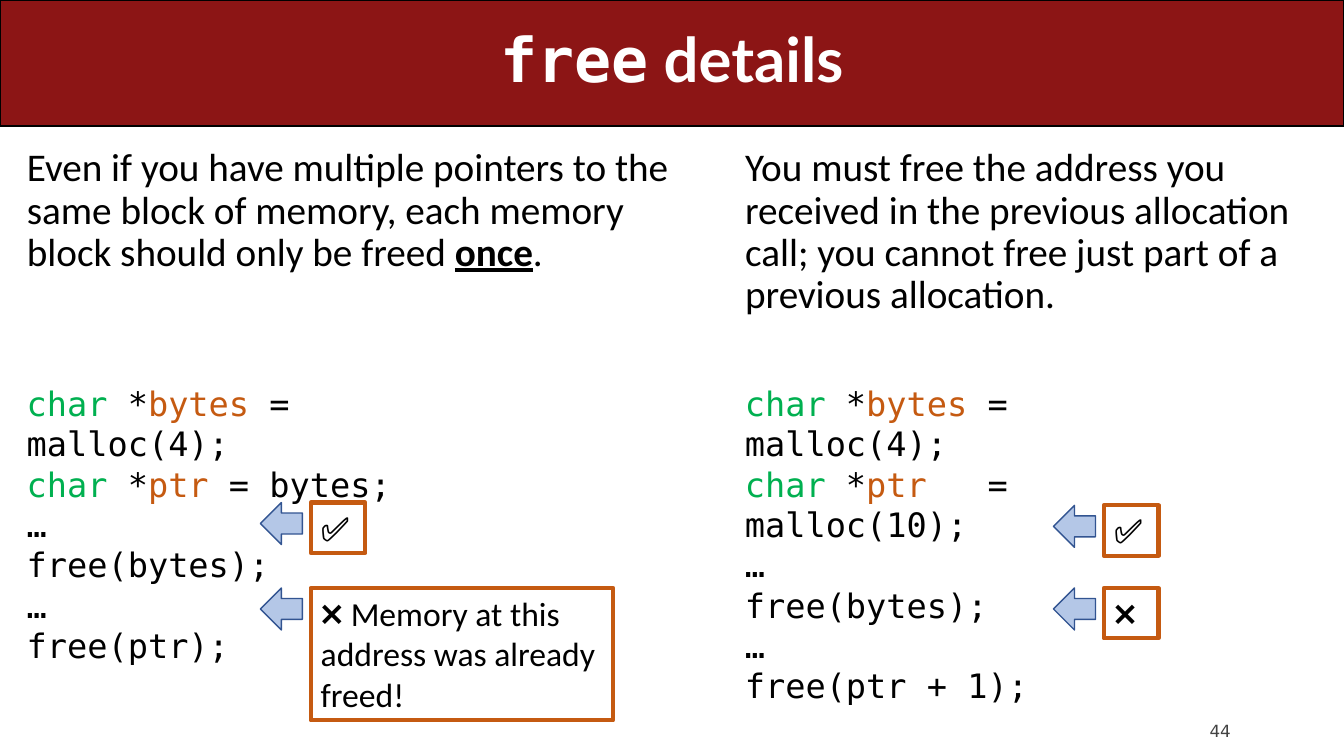
from lxml import etree
from pptx import Presentation
from pptx.dml.color import RGBColor
from pptx.enum.shapes import MSO_SHAPE
from pptx.enum.text import MSO_ANCHOR, MSO_AUTO_SIZE, PP_ALIGN
from pptx.oxml.ns import qn
from pptx.util import Pt

RECT, ROUND, ARROW = MSO_SHAPE.RECTANGLE, MSO_SHAPE.ROUNDED_RECTANGLE, MSO_SHAPE.LEFT_ARROW
MIDDLE, BOTTOM, TOP = MSO_ANCHOR.MIDDLE, MSO_ANCHOR.BOTTOM, MSO_ANCHOR.TOP
FIXED = MSO_AUTO_SIZE.NONE
LEFT, CENTER = PP_ALIGN.LEFT, PP_ALIGN.CENTER

BLACK = RGBColor(0, 0, 0)
WHITE = RGBColor(255, 255, 255)
RED = RGBColor(0x8C, 0x15, 0x15)
GREEN = RGBColor(0x00, 0xB0, 0x50)
RUST = RGBColor(0xC5, 0x5A, 0x11)
PALE = RGBColor(0xB4, 0xC7, 0xE7)
BLUE = RGBColor(0x32, 0x54, 0x91)
GRAY = RGBColor(0x42, 0x42, 0x42)
MONO, SANS = "DejaVu Sans Mono", "Calibri"


def add_run(para, text, size, face, color, bold=False):
    run = para.add_run()
    run.text = text
    font = run.font
    font.size, font.name, font.bold = Pt(size), face, bold
    font.color.rgb = color
    return run


def add_block(kind, box, fill, line, width):
    shape = slide.shapes.add_shape(kind, *map(Pt, box))
    shape.shadow.inherit = False
    if fill is None:
        shape.fill.background()
    else:
        shape.fill.solid()
        shape.fill.fore_color.rgb = fill
    shape.line.color.rgb = line
    shape.line.width = Pt(width)
    return shape


deck = Presentation()
deck.slide_width, deck.slide_height = Pt(960), Pt(540)
slide = deck.slides.add_slide(deck.slide_layouts[3])
title, first, second = slide.placeholders

band = add_block(ROUND, (0, 0, 960, 90), RED, BLACK, 0.75)
band.adjustments[0] = 0
title._element.addprevious(band._element)

title.left, title.top, title.width, title.height = map(Pt, (36, 0, 888, 90))
title.text_frame.auto_size = FIXED
title.text_frame.vertical_anchor = MIDDLE
para = title.text_frame.paragraphs[0]
para.alignment = CENTER
para.line_spacing = 0.9
add_run(para, "free", 44, MONO, WHITE, True)
add_run(para, " details", 44, "Lato", WHITE, True)

rules = [
    (first, 12, 480, [
        ("Even if you have multiple pointers to the same block of memory, "
         "each memory block should only be freed ", False),
        ("once", True), (".", False)]),
    (second, 525, 411, [
        ("You must free the address you received in the previous allocation call; "
         "you cannot free just part of a previous allocation.", False)]),
]
for body, left, width, parts in rules:
    body.left, body.top, body.width, body.height = map(Pt, (left, 102, width, 408))
    body.text_frame.auto_size = FIXED
    para = body.text_frame.paragraphs[0]
    para.line_spacing = 0.9
    para.space_before = Pt(10)
    props = para._p.get_or_add_pPr()
    props.set("marL", "0")
    props.set("indent", "0")
    etree.SubElement(props, qn("a:buNone"))
    for text, strong in parts:
        run = add_run(para, text, 28, SANS, BLACK, strong)
        run.font.underline = strong

codes = [
    (12, 336, " = bytes;", "free(ptr);"),
    (525, 354, "   = malloc(10);", "free(ptr + 1);"),
]
for left, width, value, last in codes:
    frame = slide.shapes.add_textbox(Pt(left), Pt(270), Pt(width), Pt(211)).text_frame
    frame.word_wrap = True
    lines = [
        [("char", GREEN), (" *", BLACK), ("bytes", RUST), (" = malloc(4);", BLACK)],
        [("char", GREEN), (" *", BLACK), ("ptr", RUST), (value, BLACK)],
        [("…", BLACK)],
        [("free(bytes);", BLACK)],
        [("…", BLACK)],
        [(last, BLACK)],
    ]
    for row, parts in enumerate(lines):
        para = frame.paragraphs[0] if row == 0 else frame.add_paragraph()
        for text, color in parts:
            add_run(para, text, 24, MONO, color)

notes = [
    (222, 359, 39, 36, "✅"),
    (222, 420, 216, 94.5, "❌ Memory at this address was already freed!"),
    (788.5, 361, 39, 36, "✅"),
    (788.5, 420, 39, 36, "❌"),
]
for left, top, width, height, text in notes:
    add_block(ARROW, (left - 36, top, 30, 30), PALE, BLUE, 1)
    note = add_block(RECT, (left, top, width, height), None, RUST, 3)
    frame = note.text_frame
    frame.word_wrap = width > 39
    frame.vertical_anchor = TOP
    para = frame.paragraphs[0]
    para.alignment = LEFT
    add_run(para, text, 24, SANS, BLACK)

frame = slide.shapes.add_textbox(Pt(864), Pt(500.5), Pt(80), Pt(28.5)).text_frame
frame.margin_left = frame.margin_right = frame.margin_top = frame.margin_bottom = 0
frame.word_wrap = True
frame.vertical_anchor = BOTTOM
para = frame.paragraphs[0]
para.space_before = Pt(5)
add_run(para, "44", 12, "DejaVu Sans", GRAY)

deck.save("out.pptx")
